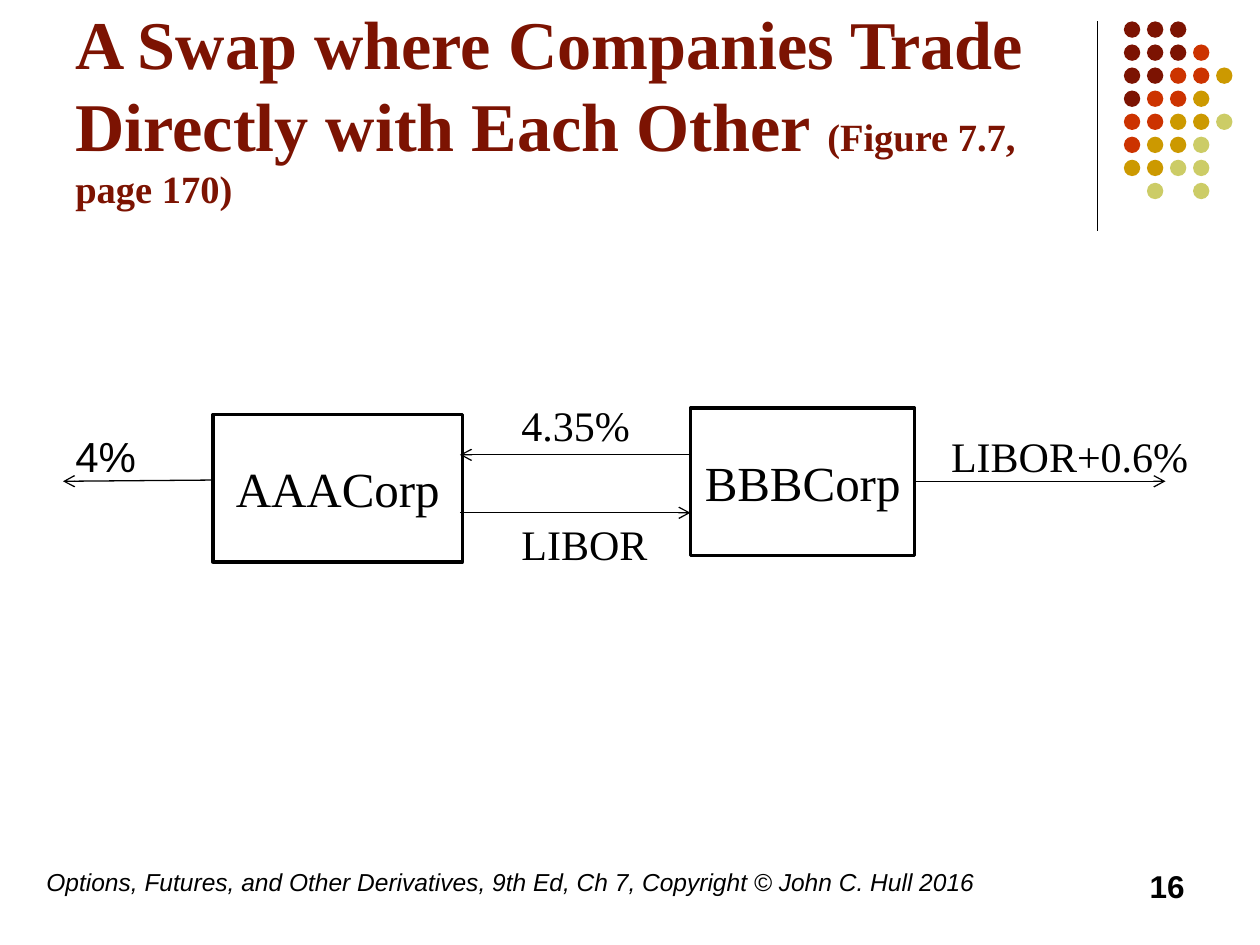
import pptx
import pptx.util
import pptx.dml.color
import pptx.enum.shapes
import pptx.enum.text
import pptx.oxml
import pptx.oxml.ns

Inches = pptx.util.Inches
ALIGN = pptx.enum.text.PP_ALIGN
ANCHOR = pptx.enum.text.MSO_ANCHOR
SHAPE = pptx.enum.shapes.MSO_SHAPE

SERIF, SANS = "Times New Roman", "Arial"
BLACK, WHITE, MAROON = "000000", "FFFFFF", "7C1302"

DOT_COLOURS = {"m": MAROON, "r": "CC3300", "g": "CC9900", "y": "CCCC66"}
DOT_ROWS = ["mmm", "mmmr", "mmrrg", "mrrg", "rrggy", "rggy", "ggyy", " y y"]
DOT_LEFT, DOT_TOP, DOT_STEP, DOT_SIZE = 8.92, 0.17, 0.183, 0.13

TITLE = [
    ("A Swap where Companies Trade Directly with Each Other ", 39),
    ("(Figure 7.7, page 170)", 22),
]
FOOTER = "Options, Futures, and Other Derivatives, 9th Ed, Ch 7, Copyright © John C. Hull 2016"
PAGE_NUMBER = "16"

COMPANIES = [
    ("AAACorp", (1.69, 3.29, 1.98, 1.17)),
    ("BBBCorp", (5.48, 3.24, 1.78, 1.17)),
]
PAYMENTS = [
    ((5.48, 3.61), (3.65, 3.61)),
    ((3.65, 4.07), (5.48, 4.07)),
    ((7.25, 3.82), (9.25, 3.82)),
    ((1.69, 3.81), (0.5, 3.82)),
]
RATES = [
    ("4.35%", (4.04, 3.12, 1.2, 0.5), SERIF),
    ("LIBOR", (4.04, 4.07, 1.25, 0.5), SERIF),
    ("LIBOR+0.6%", (7.45, 3.37, 2.25, 0.5), SERIF),
    ("4%", (0.5, 3.37, 1, 0.5), SANS),
]


def rgb(colour):
    return pptx.dml.color.RGBColor.from_string(colour)


def write(shape, runs, font, colour=BLACK, bold=False, italic=False,
          align=ALIGN.LEFT, anchor=ANCHOR.TOP):
    frame = shape.text_frame
    frame.word_wrap = True
    frame.vertical_anchor = anchor
    para = frame.paragraphs[0]
    para.alignment = align
    for text, size in runs:
        span = para.add_run()
        span.text = text
        span.font.name = font
        span.font.size = pptx.util.Pt(size)
        span.font.bold = bold
        span.font.italic = italic
        span.font.color.rgb = rgb(colour)


def add_text(page, place, runs, font, **style):
    box = page.shapes.add_textbox(*map(Inches, place))
    write(box, runs, font, **style)


def add_shape(page, kind, place, fill, outline=None):
    shape = page.shapes.add_shape(kind, *map(Inches, place))
    shape.shadow.inherit = False
    shape.fill.solid()
    shape.fill.fore_color.rgb = rgb(fill)
    if outline:
        shape.line.color.rgb = rgb(outline)
        shape.line.width = pptx.util.Pt(2)
    else:
        shape.line.fill.background()
    return shape


def add_line(page, start, end, arrow=False):
    line = page.shapes.add_connector(
        pptx.enum.shapes.MSO_CONNECTOR.STRAIGHT, *map(Inches, start + end))
    line.line.color.rgb = rgb(BLACK)
    line.line.width = pptx.util.Pt(0.75)
    if arrow:
        head = pptx.oxml.parse_xml(
            f'<a:tailEnd {pptx.oxml.ns.nsdecls("a")} type="arrow"/>')
        line.line._get_or_add_ln().append(head)
    line._element.spPr.append(
        pptx.oxml.parse_xml(f'<a:effectLst {pptx.oxml.ns.nsdecls("a")}/>'))


def add_dots(page):
    for row, letters in enumerate(DOT_ROWS):
        for column, letter in enumerate(letters):
            if letter in DOT_COLOURS:
                place = (DOT_LEFT + column * DOT_STEP, DOT_TOP + row * DOT_STEP,
                         DOT_SIZE, DOT_SIZE)
                add_shape(page, SHAPE.OVAL, place, DOT_COLOURS[letter])


def main():
    deck = pptx.Presentation()
    deck.slide_width, deck.slide_height = Inches(10), Inches(7.5)
    page = deck.slides.add_slide(deck.slide_layouts[6])

    add_line(page, (8.71, 0.17), (8.71, 1.83))
    add_dots(page)
    add_text(page, (0.27, 6.83, 8.27, 0.5), [(FOOTER, 14)], SANS, italic=True)
    add_text(page, (0.5, 0.13, 8.25, 1.42), TITLE, SERIF, colour=MAROON,
             bold=True, anchor=ANCHOR.MIDDLE)
    add_text(page, (7.17, 6.83, 2.33, 0.5), [(PAGE_NUMBER, 18)], SANS,
             bold=True, align=ALIGN.RIGHT)

    for name, place in COMPANIES:
        company = add_shape(page, SHAPE.RECTANGLE, place, WHITE, BLACK)
        write(company, [(name, 28)], SERIF, align=ALIGN.CENTER, anchor=ANCHOR.MIDDLE)
    for start, end in PAYMENTS:
        add_line(page, start, end, arrow=True)
    for rate, place, font in RATES:
        add_text(page, place, [(rate, 24)], font)

    deck.save("out.pptx")


if __name__ == "__main__":
    main()
